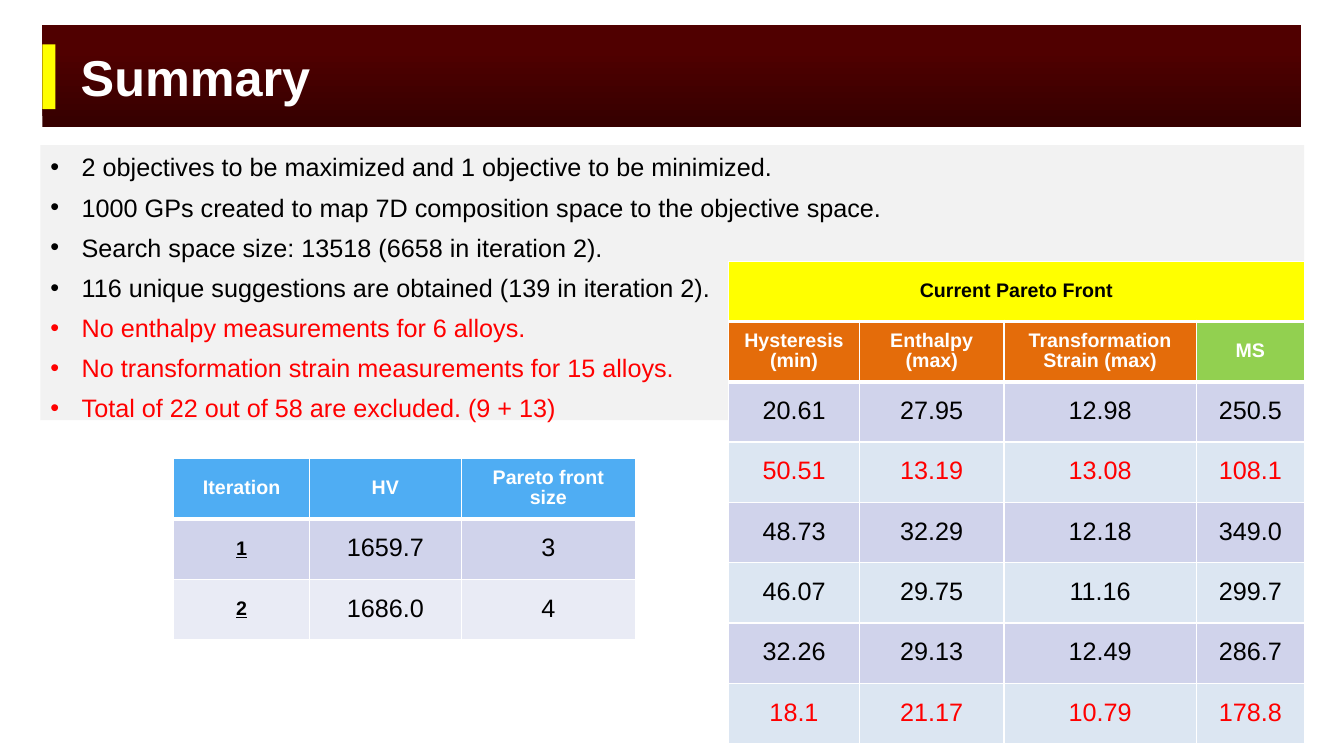
from dataclasses import dataclass

from lxml import etree
from pptx import Presentation
from pptx.dml.color import RGBColor
from pptx.enum.shapes import MSO_SHAPE
from pptx.enum.text import MSO_ANCHOR, PP_ALIGN
from pptx.oxml.ns import qn
from pptx.util import Cm, Pt

RECTANGLE = MSO_SHAPE.RECTANGLE
MIDDLE, TOP = MSO_ANCHOR.MIDDLE, MSO_ANCHOR.TOP
LEFT, CENTER = PP_ALIGN.LEFT, PP_ALIGN.CENTER


@dataclass(frozen=True)
class Theme:
    font: str = "Arial"
    title_size: int = 36
    body_size: int = 18
    header_size: int = 14
    black: str = "000000"
    white: str = "FFFFFF"
    red: str = "FF0000"
    yellow: str = "FFFF00"
    maroon: str = "500000"
    dark_maroon: str = "370000"
    panel: str = "F2F2F2"
    blue: str = "4FADF3"
    orange: str = "E46C0A"
    green: str = "92D050"
    lavender: str = "D0D3EB"
    pale_lavender: str = "E9EBF5"
    pale_blue: str = "DCE6F2"
    thin: int = 1
    thick: int = 3


THEME = Theme()

TITLE = "Summary"
FINDINGS = [
    ("2 objectives to be maximized and 1 objective to be minimized.", THEME.black),
    ("1000 GPs created to map 7D composition space to the objective space.", THEME.black),
    ("Search space size: 13518 (6658 in iteration 2).", THEME.black),
    ("116 unique suggestions are obtained (139 in iteration 2).", THEME.black),
    ("No enthalpy measurements for 6 alloys.", THEME.red),
    ("No transformation strain measurements for 15 alloys.", THEME.red),
    ("Total of 22 out of 58 are excluded. (9 + 13)", THEME.red),
]
ITERATION_HEADERS = ["Iteration", "HV", "Pareto front size"]
ITERATIONS = [("1", "1659.7", "3"), ("2", "1686.0", "4")]
PARETO_TITLE = "Current Pareto Front"
PARETO_HEADERS = ["Hysteresis (min)", "Enthalpy (max)", "Transformation Strain (max)", "MS"]
PARETO_FRONT = [
    ("20.61", "27.95", "12.98", "250.5"),
    ("50.51", "13.19", "13.08", "108.1"),
    ("48.73", "32.29", "12.18", "349.0"),
    ("46.07", "29.75", "11.16", "299.7"),
    ("32.26", "29.13", "12.49", "286.7"),
    ("18.1", "21.17", "10.79", "178.8"),
]
HIGHLIGHTED_ROWS = {1, 5}

BANNER = (1.07, 0.64, 31.72, 2.57)
ACCENT = (1.07, 1.12, 0.33, 1.63)
TITLE_BOX = (1.78, 0.64, 21.36, 2.57)
FINDINGS_BOX = (1.02, 3.66, 31.85, 6.93)
ITERATION_PLACE, ITERATION_COLUMNS = (4.38, 11.56), (3.42, 3.82, 4.4)
PARETO_PLACE, PARETO_COLUMNS = (18.36, 6.58), (3.3, 3.64, 4.85, 2.72)
ROW_HEIGHT = 1.52
BULLET_INDENT = 0.79


def color(value):
    return RGBColor.from_string(value)


def style_text(paragraph, size, value, bold=False, underline=None):
    font = paragraph.font
    font.name, font.size, font.bold, font.underline = THEME.font, Pt(size), bold, underline
    font.color.rgb = color(value)


def add_rectangle(slide, box, fill):
    shape = slide.shapes.add_shape(RECTANGLE, *map(Cm, box))
    shape.shadow.inherit = False
    shape.fill.solid()
    shape.fill.fore_color.rgb = color(fill)
    shape.line.fill.background()
    return shape


def add_heading(slide):
    banner = add_rectangle(slide, BANNER, THEME.maroon)
    banner.fill.gradient()
    banner.fill.gradient_angle = 90
    stops = [(0.05, THEME.dark_maroon), (0.76, THEME.maroon)]
    for stop, (position, value) in zip(banner.fill.gradient_stops, stops):
        stop.position = position
        stop.color.rgb = color(value)
    accent = add_rectangle(slide, ACCENT, THEME.yellow)

    title = slide.shapes.title
    for shape in (banner, accent):
        title.element.addprevious(shape.element)
    title.left, title.top, title.width, title.height = map(Cm, TITLE_BOX)
    title.text_frame.text = TITLE
    title.text_frame.vertical_anchor = MIDDLE
    paragraph = title.text_frame.paragraphs[0]
    paragraph.alignment = LEFT
    style_text(paragraph, THEME.title_size, THEME.white, bold=True)


def add_bullet(paragraph):
    properties = paragraph._p.get_or_add_pPr()
    properties.set("marL", str(Cm(BULLET_INDENT)))
    properties.set("indent", str(-Cm(BULLET_INDENT)))
    etree.SubElement(properties, qn("a:buFont"), typeface=THEME.font)
    etree.SubElement(properties, qn("a:buChar"), char="•")


def add_findings(slide):
    frame = add_rectangle(slide, FINDINGS_BOX, THEME.panel).text_frame
    frame.word_wrap = True
    frame.vertical_anchor = TOP
    for index, (text, value) in enumerate(FINDINGS):
        paragraph = frame.add_paragraph() if index else frame.paragraphs[0]
        paragraph.text = text
        add_bullet(paragraph)
        paragraph.alignment = LEFT
        paragraph.line_spacing = 1.05
        paragraph.space_after = Pt(6)
        style_text(paragraph, THEME.body_size, value)


def set_borders(cell, top, bottom):
    """Draw white cell edges; the fill must be set afterwards."""
    properties = cell._tc.get_or_add_tcPr()
    widths = {"lnL": THEME.thin, "lnR": THEME.thin, "lnT": top, "lnB": bottom}
    for edge, width in widths.items():
        line = etree.SubElement(properties, qn(f"a:{edge}"), w=str(Pt(width)))
        fill = etree.SubElement(line, qn("a:solidFill"))
        etree.SubElement(fill, qn("a:srgbClr"), val=THEME.white)


def add_grid(slide, place, columns, rows, header_count):
    """Each row lists (text, fill, text style) cells; thick lines follow header rows."""
    height = ROW_HEIGHT * len(rows)
    frame = slide.shapes.add_table(len(rows), len(columns), *map(Cm, (*place, sum(columns), height)))
    table = frame.table
    for column, width in zip(table.columns, columns):
        column.width = Cm(width)
    for r, row in enumerate(rows):
        table.rows[r].height = Cm(ROW_HEIGHT)
        top = THEME.thick if 0 < r <= header_count else THEME.thin
        bottom = THEME.thick if r < header_count else THEME.thin
        for c, (text, fill, text_style) in enumerate(row):
            cell = table.cell(r, c)
            cell.text = text
            cell.vertical_anchor = MIDDLE
            cell.margin_left = cell.margin_right = Cm(0.33)
            cell.margin_top = cell.margin_bottom = Cm(0.18)
            set_borders(cell, top, bottom)
            cell.fill.solid()
            cell.fill.fore_color.rgb = color(fill)
            paragraph = cell.text_frame.paragraphs[0]
            paragraph.alignment = CENTER
            paragraph.line_spacing = 0.9
            style_text(paragraph, *text_style)
    return table


def add_iteration_table(slide):
    header_style = (THEME.header_size, THEME.white, True)
    label_style = (THEME.header_size, THEME.black, True, True)
    value_style = (THEME.body_size, THEME.black)
    rows = [[(text, THEME.blue, header_style) for text in ITERATION_HEADERS]]
    for (label, *values), fill in zip(ITERATIONS, (THEME.lavender, THEME.pale_lavender)):
        rows.append([(label, fill, label_style)] + [(value, fill, value_style) for value in values])
    add_grid(slide, ITERATION_PLACE, ITERATION_COLUMNS, rows, header_count=1)


def add_pareto_table(slide):
    title_style = (THEME.header_size, THEME.black, True)
    header_style = (THEME.header_size, THEME.white, True)
    header_fills = [THEME.orange] * 3 + [THEME.green]
    rows = [
        [(text, THEME.yellow, title_style) for text in (PARETO_TITLE, "", "", "")],
        [(text, fill, header_style) for text, fill in zip(PARETO_HEADERS, header_fills)],
    ]
    for index, values in enumerate(PARETO_FRONT):
        fill = (THEME.lavender, THEME.pale_blue)[index % 2]
        value_style = (THEME.body_size, THEME.red if index in HIGHLIGHTED_ROWS else THEME.black)
        rows.append([(value, fill, value_style) for value in values])
    table = add_grid(slide, PARETO_PLACE, PARETO_COLUMNS, rows, header_count=2)
    table.cell(0, 0).merge(table.cell(0, len(PARETO_COLUMNS) - 1))


def main():
    presentation = Presentation()
    presentation.slide_width, presentation.slide_height = Cm(33.87), Cm(19.05)
    slide = presentation.slides.add_slide(presentation.slide_layouts[5])
    add_heading(slide)
    add_findings(slide)
    add_iteration_table(slide)
    add_pareto_table(slide)
    presentation.save("out.pptx")


if __name__ == "__main__":
    main()
